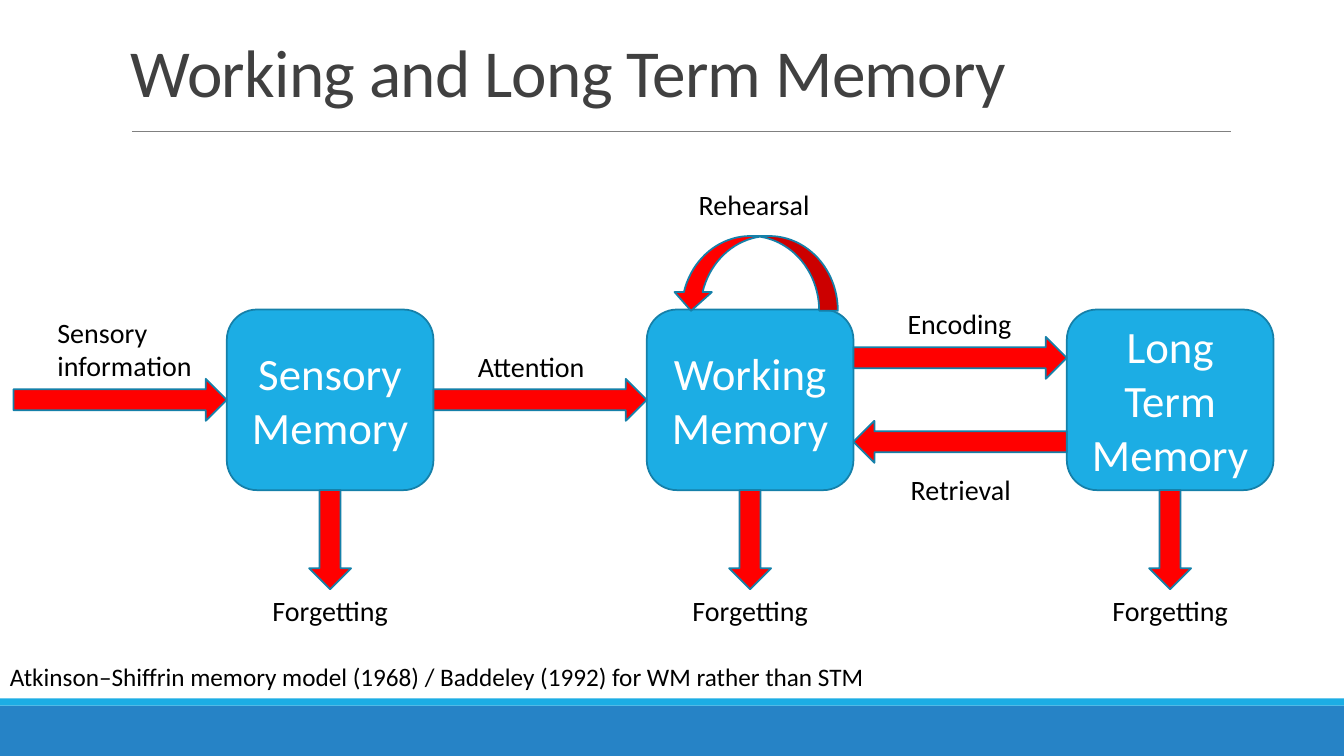
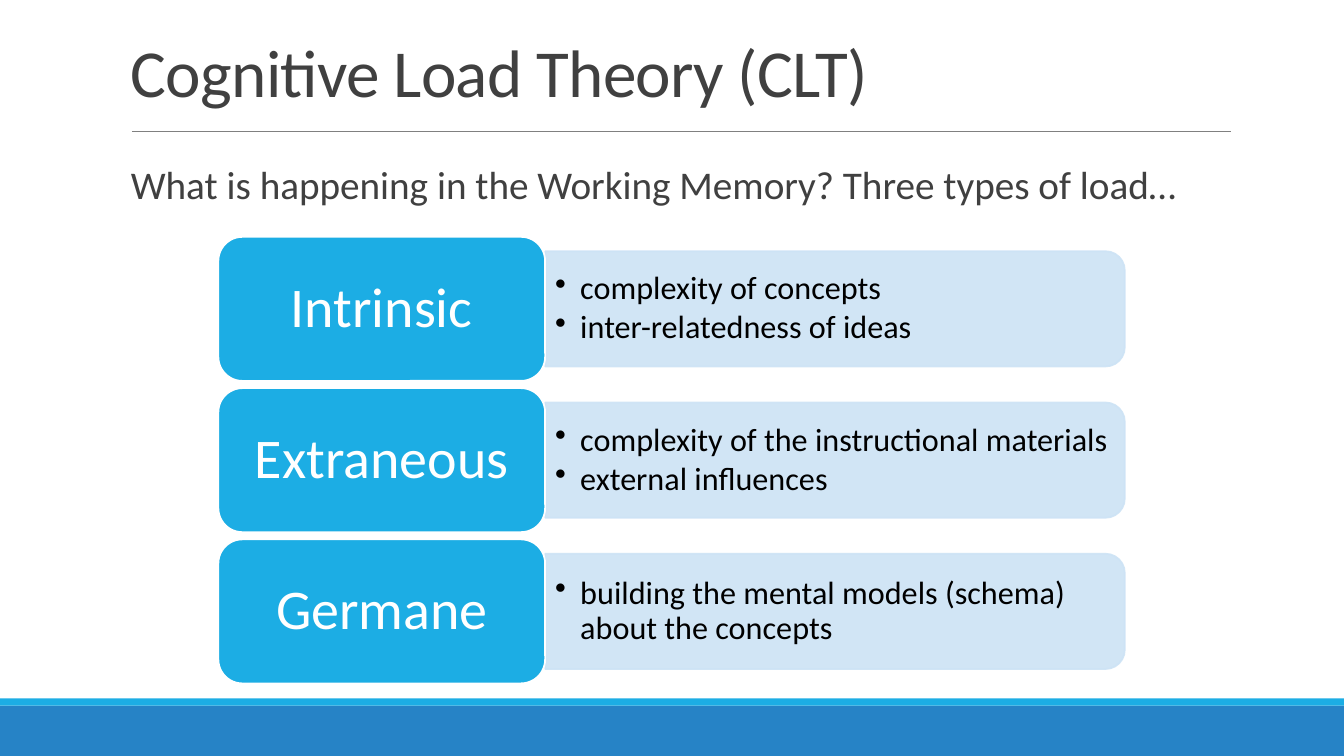
from dataclasses import dataclass

from lxml import etree
from pptx import Presentation, util as u
from pptx.dml.color import RGBColor
from pptx.enum import shapes, text
from pptx.oxml.ns import qn


@dataclass(frozen=True)
class Theme:
    font: str = "Calibri"
    blue: str = "1CADE4"
    deep_blue: str = "2683C6"
    outline: str = "1580A9"
    pale: str = "CDE3F5"
    red: str = "FF0000"
    white: str = "FFFFFF"
    black: str = "000000"
    ink: str = "404040"
    rule: str = "808080"
    title: int = 48
    tile: int = 40
    memory: int = 32
    lead: int = 28
    bullet: int = 23
    label: int = 20
    source: int = 18


theme = Theme()
KIND = shapes.MSO_SHAPE
LEFT, CENTER = text.PP_ALIGN.LEFT, text.PP_ALIGN.CENTER
TOP, MIDDLE, BOTTOM = (text.MSO_ANCHOR.TOP, text.MSO_ANCHOR.MIDDLE,
                       text.MSO_ANCHOR.BOTTOM)

deck = Presentation()
deck.slide_width, deck.slide_height = u.Inches(13.333), u.Inches(7.5)
COLUMNS, ROWS = 32, 18
CELL = deck.slide_height / ROWS  # the grid is square: 32 columns by 18 rows


def place(page, kind, left, top, width, height, fill=None, line=None):
    """Add a preset shape, or a text box if kind is None, in grid cells."""
    frame = [round(length * CELL) for length in (left, top, width, height)]
    if kind is None:
        return page.shapes.add_textbox(*frame)
    shape = page.shapes.add_shape(kind, *frame)
    shape.shadow.inherit = False
    shape.fill.solid()
    shape.fill.fore_color.rgb = RGBColor.from_string(fill)
    if line:
        shape.line.color.rgb = RGBColor.from_string(line)
        shape.line.width = u.Pt(1.25)
    else:
        shape.line.fill.background()
    return shape


def write(box, lines, size, color=theme.black, align=LEFT, anchor=TOP,
          spacing=None, after=0, tracking=None, bullet=None):
    """Fill a box with one paragraph for each line."""
    frame = box.text_frame
    frame.word_wrap = True
    frame.vertical_anchor = anchor
    for number, line in enumerate(lines):
        para = frame.add_paragraph() if number else frame.paragraphs[0]
        if bullet:
            props = para._p.get_or_add_pPr()
            props.set("marL", str(u.Inches(0.25)))
            props.set("indent", str(-u.Inches(0.25)))
            etree.SubElement(props, qn("a:buChar")).set("char", bullet)
        para.alignment = align
        para.line_spacing = spacing
        para.space_after = u.Pt(after)
        span = para.add_run()
        span.text = line
        span.font.name = theme.font
        span.font.size = u.Pt(size)
        span.font.color.rgb = RGBColor.from_string(color)
        if tracking:
            span._r.get_or_add_rPr().set("spc", str(round(tracking * 100)))


# Shared frame of both slides
pages = []
for title in ("Working and Long Term Memory", "Cognitive Load Theory (CLT)"):
    page = deck.slides.add_slide(deck.slide_layouts[6])
    place(page, KIND.RECTANGLE, 0, 16.8, COLUMNS, 1.2, theme.deep_blue)
    place(page, KIND.RECTANGLE, 0, 16.63, COLUMNS, 0.17, theme.blue)
    rule = page.shapes.add_connector(
        shapes.MSO_CONNECTOR.STRAIGHT,
        *[round(length * CELL) for length in (3.14, 3.12, 29.3, 3.12)])
    rule.line.color.rgb = RGBColor.from_string(theme.rule)
    rule.line.width = u.Pt(0.5)
    etree.SubElement(rule._element.spPr, qn("a:effectLst"))
    write(place(page, None, 2.88, 0.74, 26.4, 2.02), [title], theme.title,
          theme.ink, anchor=BOTTOM, spacing=0.85, tracking=-0.5)
    pages.append(page)
memory_page, load_page = pages

# Memory model: three stores, ten columns apart
PITCH = 10
STORE_LEFT, STORE_TOP, STORE_WIDTH, STORE_HEIGHT = 5.4, 7.37, 4.92, 4.3
STORE_MIDDLE = STORE_TOP + STORE_HEIGHT / 2
STORE_BOTTOM = STORE_TOP + STORE_HEIGHT
GAP = PITCH - STORE_WIDTH
LABEL_WIDTH = 4.13
stores = (["Sensory", "Memory"], ["Working", "Memory"], ["Long Term", "Memory"])
labels = []  # lines, left, top, alignment
for number, lines in enumerate(stores):
    left = STORE_LEFT + number * PITCH
    center = left + STORE_WIDTH / 2
    store = place(memory_page, KIND.ROUNDED_RECTANGLE, left, STORE_TOP,
                  STORE_WIDTH, STORE_HEIGHT, theme.blue, theme.outline)
    write(store, lines, theme.memory, theme.white, CENTER, MIDDLE)
    place(memory_page, KIND.DOWN_ARROW, center - 0.5, STORE_BOTTOM, 1, 2.36,
          theme.red, theme.outline)
    labels.append((["Forgetting"], center - LABEL_WIDTH / 2, 14.02, CENTER))

# Arrows into and between the stores: kind, gap number, offset from the middle
for kind, gap, offset in ((KIND.RIGHT_ARROW, 0, 0), (KIND.RIGHT_ARROW, 1, 0),
                          (KIND.RIGHT_ARROW, 2, -1), (KIND.LEFT_ARROW, 2, 1)):
    place(memory_page, kind, STORE_LEFT - GAP + gap * PITCH,
          STORE_MIDDLE + offset - 0.5, GAP, 1, theme.red, theme.outline)
rehearsal = place(memory_page, KIND.CURVED_DOWN_ARROW, 16.01, 5.62, 3.94, 1.78,
                  theme.red, theme.outline)
rehearsal._element.spPr.xfrm.set("flipH", "1")

labels += [
    (["Sensory", "information"], 1.13, 7.39, LEFT),
    (["Attention"], 11.14, 8.21, LEFT),
    (["Rehearsal"], 15.89, 4.34, CENTER),
    (["Encoding"], 20.78, 7.18, CENTER),
    (["Retrieval"], 20.81, 11.14, CENTER),
]
for lines, left, top, align in labels:
    write(place(memory_page, None, left, top, LABEL_WIDTH, 1.06 * len(lines)),
          lines, theme.label, align=align)
write(place(memory_page, None, 0, 15.62, 25.4, 0.96),
      ["Atkinson–Shiffrin memory model (1968) / Baddeley (1992) for WM rather than STM"],
      theme.source)

# Three types of load: one tile and one panel a row
write(place(load_page, None, 2.88, 3.82, 26.4, 1.5),
      ["What is happening in the Working Memory? Three types of load…"],
      theme.lead, theme.ink, spacing=0.9)
TILE_LEFT, TILE_TOP, TILE_WIDTH, TILE_HEIGHT = 5.2, 5.64, 7.78, 3.43
ROW_PITCH = 1.05 * TILE_HEIGHT
PANEL_LEFT, PANEL_WIDTH = TILE_LEFT + TILE_WIDTH, 13.8
PANEL_HEIGHT = 0.8 * TILE_HEIGHT
loads = {
    "Intrinsic": ["complexity of concepts", "inter-relatedness of ideas"],
    "Extraneous": ["complexity of the instructional materials",
                   "external influences"],
    "Germane": ["building the mental models (schema) about the concepts"],
}
for number, (name, points) in enumerate(loads.items()):
    top = TILE_TOP + number * ROW_PITCH
    middle = top + TILE_HEIGHT / 2
    # Turned a quarter, so that the two round corners face right
    panel = place(load_page, KIND.ROUND_2_SAME_RECTANGLE,
                  PANEL_LEFT + (PANEL_WIDTH - PANEL_HEIGHT) / 2,
                  middle - PANEL_WIDTH / 2, PANEL_HEIGHT, PANEL_WIDTH,
                  theme.pale, theme.pale)
    panel.rotation = 90
    for color in panel._element.spPr.iter(qn("a:srgbClr")):
        etree.SubElement(color, qn("a:alpha")).set("val", "90000")
    write(place(load_page, None, PANEL_LEFT, middle - 1.24, 13.68, 2.48),
          points, theme.bullet, anchor=MIDDLE, spacing=0.9, after=3, bullet="•")
    tile = place(load_page, KIND.ROUNDED_RECTANGLE, TILE_LEFT, top,
                 TILE_WIDTH, TILE_HEIGHT, theme.blue, theme.white)
    write(tile, [name], theme.tile, theme.white, CENTER, MIDDLE, spacing=0.9)

deck.save("out.pptx")
